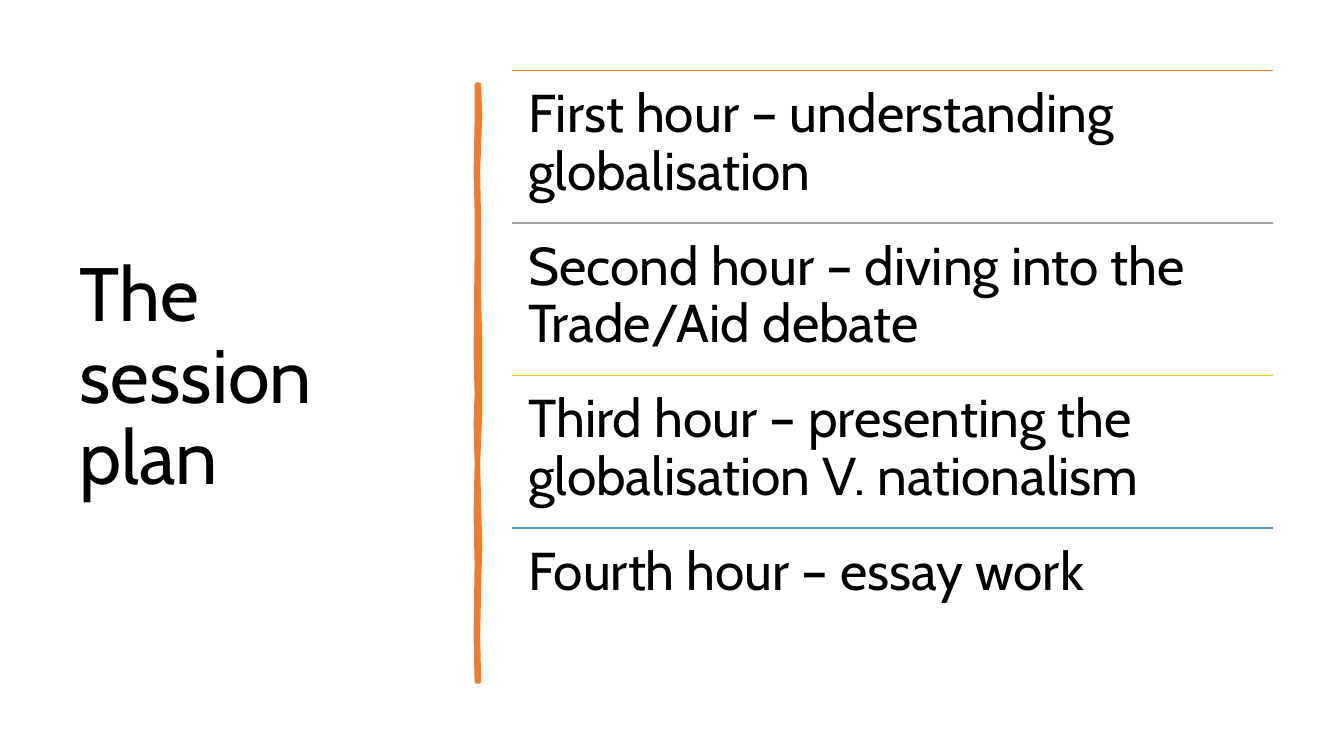
from lxml.etree import SubElement
from pptx import Presentation
from pptx.dml.color import RGBColor
from pptx.enum.shapes import MSO_CONNECTOR as Connector
from pptx.enum.text import MSO_ANCHOR as Anchor, MSO_AUTO_SIZE as AutoSize, PP_ALIGN as Align
from pptx.oxml.ns import qn
from pptx.util import Inches, Pt

FONT = "Cabin"
BLACK = RGBColor(0x00, 0x00, 0x00)
ORANGE = RGBColor(0xED, 0x7D, 0x31)
GREY = RGBColor(0xA5, 0xA5, 0xA5)
GOLD = RGBColor(0xFF, 0xC0, 0x00)
BLUE = RGBColor(0x5B, 0x9B, 0xD5)

HOURS = [
    ("First hour – understanding globalisation", ORANGE),
    ("Second hour – diving into the Trade/Aid debate", GREY),
    ("Third hour – presenting the globalisation V. nationalism", GOLD),
    ("Fourth hour – essay work", BLUE),
]
LIST_LEFT, LIST_TOP, LIST_WIDTH, ROW_HEIGHT = 5.08, 0.7, 7.55, 1.513

RIGHT_EDGE = [
    (4.75, 0.84), (4.76, 1.15), (4.74, 1.7), (4.75, 2.26), (4.75, 2.94),
    (4.76, 3.4), (4.76, 4.1), (4.74, 4.6), (4.76, 5.4), (4.75, 5.84),
    (4.74, 6.3), (4.75, 6.76),
]
LEFT_EDGE = [
    (4.73, 6.76), (4.72, 6.3), (4.73, 5.6), (4.72, 5.1), (4.73, 4.6),
    (4.72, 4.2), (4.73, 3.9), (4.72, 3.5), (4.73, 2.5), (4.73, 2.1),
    (4.72, 1.7), (4.73, 1.2), (4.73, 0.84),
]


def write(frame, text, size):
    """Fill a text frame with one left-aligned paragraph."""
    frame.word_wrap = True
    frame.auto_size = AutoSize.NONE
    para = frame.paragraphs[0]
    para.alignment = Align.LEFT
    para.line_spacing = 0.9
    span = para.add_run()
    span.text = text
    span.font.name = FONT
    span.font.size = Pt(size)
    span.font.color.rgb = BLACK


def set_title(page, text):
    """Place and write the title placeholder."""
    title = page.shapes.title
    title.left, title.top = Inches(0.69), Inches(0.7)
    title.width, title.height = Inches(3.74), Inches(6.11)
    title.text_frame.vertical_anchor = Anchor.MIDDLE
    write(title.text_frame, text, 54)


def add_brush_stroke(page):
    """Draw the uneven upright stroke beside the title."""
    start, *points = [(Inches(x), Inches(y)) for x, y in RIGHT_EDGE + LEFT_EDGE]
    builder = page.shapes.build_freeform(*start)
    builder.add_line_segments(points, close=True)
    stroke = builder.convert_to_shape()
    stroke.shadow.inherit = False
    stroke.fill.solid()
    stroke.fill.fore_color.rgb = ORANGE
    stroke.line.color.rgb = ORANGE
    stroke.line.width = Pt(3.25)
    SubElement(stroke.line._get_or_add_ln(), qn("a:round"))


def add_rule(page, top, color):
    """Draw a horizontal rule across the list."""
    rule = page.shapes.add_connector(
        Connector.STRAIGHT, Inches(LIST_LEFT), Inches(top),
        Inches(LIST_LEFT + LIST_WIDTH), Inches(top))
    rule.line.color.rgb = color
    rule.line.width = Pt(1)
    SubElement(rule._element.spPr, qn("a:effectLst"))


def add_hour(page, top, text):
    """Write one entry of the plan."""
    box = page.shapes.add_textbox(
        Inches(LIST_LEFT), Inches(top), Inches(LIST_WIDTH), Inches(ROW_HEIGHT))
    frame = box.text_frame
    frame.margin_left = frame.margin_right = Inches(0.16)
    frame.margin_top = frame.margin_bottom = Inches(0.16)
    write(frame, text, 38)


def main():
    """Build and save the session plan slide."""
    deck = Presentation()
    deck.slide_width, deck.slide_height = Inches(13.33), Inches(7.5)
    page = deck.slides.add_slide(deck.slide_layouts.get_by_name("Title Only"))
    set_title(page, "The session plan")
    add_brush_stroke(page)
    for row, (text, color) in enumerate(HOURS):
        top = LIST_TOP + row * ROW_HEIGHT
        add_rule(page, top, color)
        add_hour(page, top, text)
    deck.save("out.pptx")


if __name__ == "__main__":
    main()
